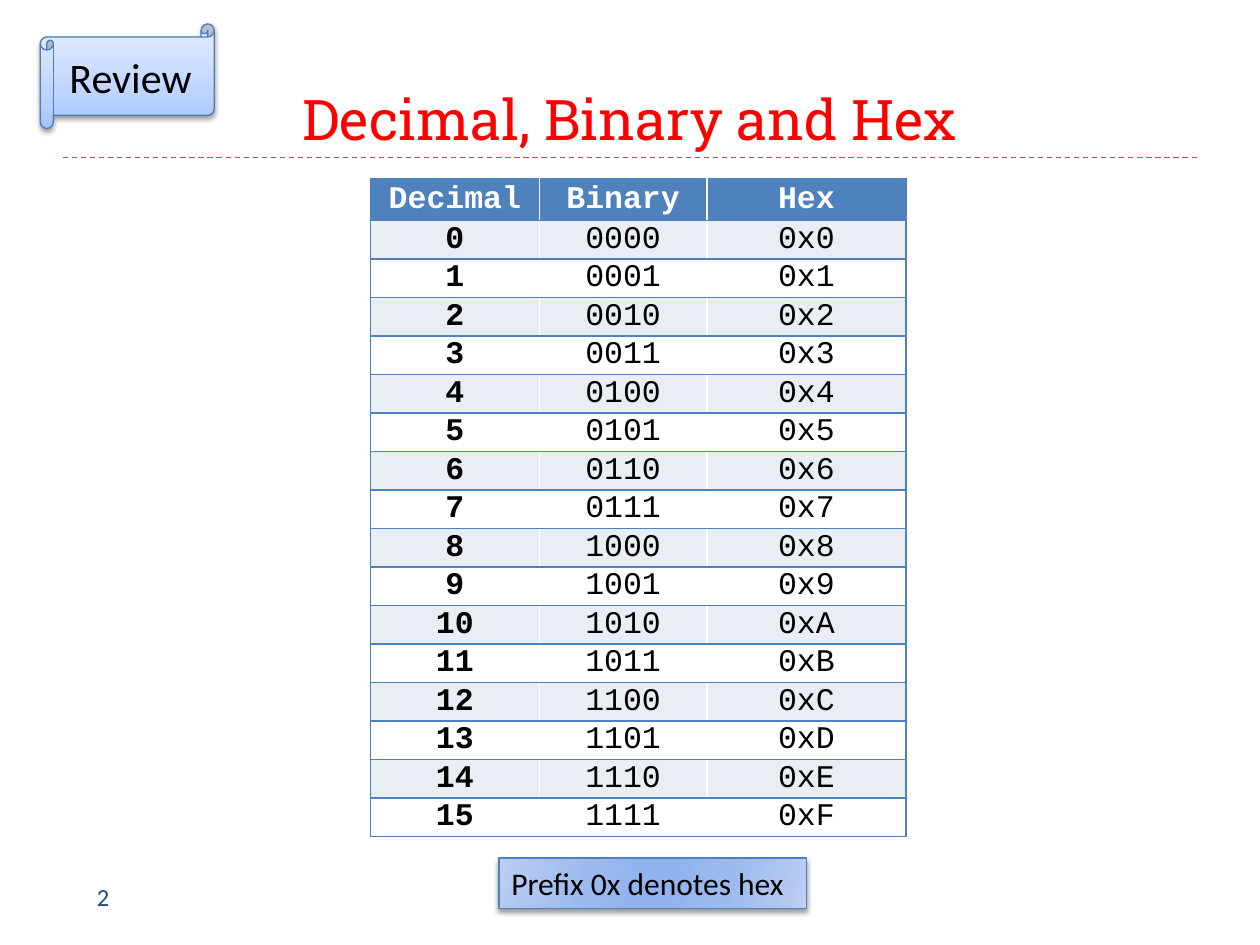
from dataclasses import dataclass

from lxml import etree
from pptx import Presentation
from pptx.dml.color import RGBColor
from pptx.enum.dml import MSO_LINE
from pptx.enum.shapes import MSO_CONNECTOR, MSO_SHAPE
from pptx.enum.text import MSO_ANCHOR, MSO_AUTO_SIZE, PP_ALIGN
from pptx.oxml import parse_xml
from pptx.oxml.ns import nsdecls, qn
from pptx.util import Inches, Pt

DASH = MSO_LINE.DASH
STRAIGHT = MSO_CONNECTOR.STRAIGHT
SCROLL = MSO_SHAPE.HORIZONTAL_SCROLL
TOP, MIDDLE, BOTTOM = MSO_ANCHOR.TOP, MSO_ANCHOR.MIDDLE, MSO_ANCHOR.BOTTOM
LEFT, CENTER = PP_ALIGN.LEFT, PP_ALIGN.CENTER


@dataclass(frozen=True)
class Theme:
    body_font: str = "Calibri"
    title_font: str = "Roboto Slab"
    code_font: str = "Courier New"
    title_size: int = 32
    badge_size: int = 24
    text_size: int = 18
    number_size: int = 14
    title: str = "FF0000"
    rule: str = "C0504D"
    number: str = "1F497D"
    blue: str = "4F81BD"
    badge_line: str = "4B7EBC"
    band: str = "E9EDF4"
    white: str = "FFFFFF"
    black: str = "000000"
    note_stops: tuple = ((0, "BCCEF2"), (30, "9CBAEE"), (45, "91B3EE"),
                         (55, "91B3EE"), (73, "9CBAEE"), (100, "BCCEF2"))
    badge_stops: tuple = ((0, "A4C4FF"), (35, "BFD4FF"), (100, "E6EEFF"))


THEME = Theme()


def write(text_frame, text, font, size, color, bold=False, align=LEFT, anchor=TOP):
    text_frame.text = text
    text_frame.vertical_anchor = anchor
    paragraph = text_frame.paragraphs[0]
    paragraph.alignment = align
    run_font = paragraph.runs[0].font
    run_font.name = font
    run_font.size = Pt(size)
    run_font.bold = bold
    run_font.color.rgb = RGBColor.from_string(color)


def add_text(slide, box, text, font, size, color, **layout):
    text_box = slide.shapes.add_textbox(*map(Inches, box))
    text_box.text_frame.word_wrap = True
    write(text_box.text_frame, text, font, size, color, **layout)
    return text_box


def style_panel(shape, stops, angle, line, shadow):
    """Give a gradient fill, a thin outline and a shadow (opacity, blur, distance) below."""
    shape.line.color.rgb = RGBColor.from_string(line)
    shape.line.width = Pt(0.75)
    stop_xml = "".join(
        f'<a:gs pos="{position * 1000}"><a:srgbClr val="{color}"/></a:gs>'
        for position, color in stops)
    gradient = parse_xml(
        f'<a:gradFill {nsdecls("a")} rotWithShape="1"><a:gsLst>{stop_xml}</a:gsLst>'
        f'<a:lin ang="{angle * 60000}" scaled="0"/></a:gradFill>')
    properties = shape._element.spPr
    for old_fill in properties.findall(qn("a:noFill")):
        properties.remove(old_fill)
    properties.find(qn("a:prstGeom")).addnext(gradient)
    opacity, blur, distance = shadow
    properties.append(parse_xml(
        f'<a:effectLst {nsdecls("a")}><a:outerShdw blurRad="{Pt(blur)}" '
        f'dist="{Pt(distance)}" dir="5400000" rotWithShape="0">'
        f'<a:srgbClr val="{THEME.black}"><a:alpha val="{opacity * 1000}"/></a:srgbClr>'
        '</a:outerShdw></a:effectLst>'))


def add_heading(slide, box):
    """Place the title above a dashed rule along the bottom of the box."""
    left, top, width, height = box
    bottom = Inches(top + height)
    rule = slide.shapes.add_connector(
        STRAIGHT, Inches(left), bottom, Inches(left + width), bottom)
    rule.line.color.rgb = RGBColor.from_string(THEME.rule)
    rule.line.width = Pt(0.75)
    rule.line.dash_style = DASH
    etree.SubElement(rule._element.spPr, qn("a:effectLst"))
    add_text(slide, box, "Decimal, Binary and Hex", THEME.title_font,
             THEME.title_size, THEME.title, align=CENTER, anchor=BOTTOM)


def add_cell_borders(cell, sides):
    properties = cell._tc.get_or_add_tcPr()
    for side in sides:
        properties.append(parse_xml(
            f'<a:ln{side} {nsdecls("a")} w="{Pt(1)}"><a:solidFill>'
            f'<a:srgbClr val="{THEME.blue}"/></a:solidFill></a:ln{side}>'))


def add_number_table(slide, box):
    rows = [("Decimal", "Binary", "Hex")]
    rows += [(str(n), f"{n:04b}", f"0x{n:X}") for n in range(16)]
    column_widths = (1.34, 1.33, 1.58)
    column_sides = ("LTB", "TB", "RTB")
    header_height = 0.33
    row_height = (box[3] - header_height) / (len(rows) - 1)

    table = slide.shapes.add_table(
        len(rows), len(column_widths), *map(Inches, box)).table
    for column, width in zip(table.columns, column_widths):
        column.width = Inches(width)
    for r, values in enumerate(rows):
        is_header = r == 0
        table.rows[r].height = Inches(header_height if is_header else row_height)
        fill = THEME.blue if is_header else THEME.band if r % 2 else THEME.white
        for c, value in enumerate(values):
            cell = table.cell(r, c)
            cell.margin_left = cell.margin_right = Inches(0.07)
            cell.margin_top = cell.margin_bottom = 0
            cell.vertical_anchor = MIDDLE
            add_cell_borders(cell, column_sides[c])
            cell.fill.solid()
            cell.fill.fore_color.rgb = RGBColor.from_string(fill)
            write(cell.text_frame, value, THEME.code_font, THEME.text_size,
                  THEME.white if is_header else THEME.black,
                  bold=is_header or c == 0, align=CENTER, anchor=MIDDLE)


def add_prefix_note(slide, box):
    note = add_text(slide, box, "Prefix 0x denotes hex", THEME.body_font,
                    THEME.text_size, THEME.black)
    note.text_frame.word_wrap = False
    note.text_frame.auto_size = MSO_AUTO_SIZE.SHAPE_TO_FIT_TEXT
    style_panel(note, THEME.note_stops, 16, THEME.blue, (40, 3, 2))


def add_review_badge(slide, box):
    badge = slide.shapes.add_shape(SCROLL, *map(Inches, box))
    style_panel(badge, THEME.badge_stops, 270, THEME.badge_line, (38, 3.1, 1.6))
    write(badge.text_frame, "Review", THEME.body_font, THEME.badge_size,
          THEME.black, align=CENTER, anchor=MIDDLE)


def main():
    presentation = Presentation()
    presentation.slide_width = Inches(10)
    presentation.slide_height = Inches(7.5)
    slide = presentation.slides.add_slide(presentation.slide_layouts[6])
    add_heading(slide, (0.5, 0.17, 9, 1.08))
    add_text(slide, (0.67, 6.95, 2.17, 0.4), "2", THEME.body_font,
             THEME.number_size, THEME.number)
    add_number_table(slide, (2.94, 1.42, 4.25, 5.22))
    add_prefix_note(slide, (3.96, 6.81, 2.44, 0.4))
    add_review_badge(slide, (0.32, 0.19, 1.38, 0.83))
    presentation.save("out.pptx")


if __name__ == "__main__":
    main()
